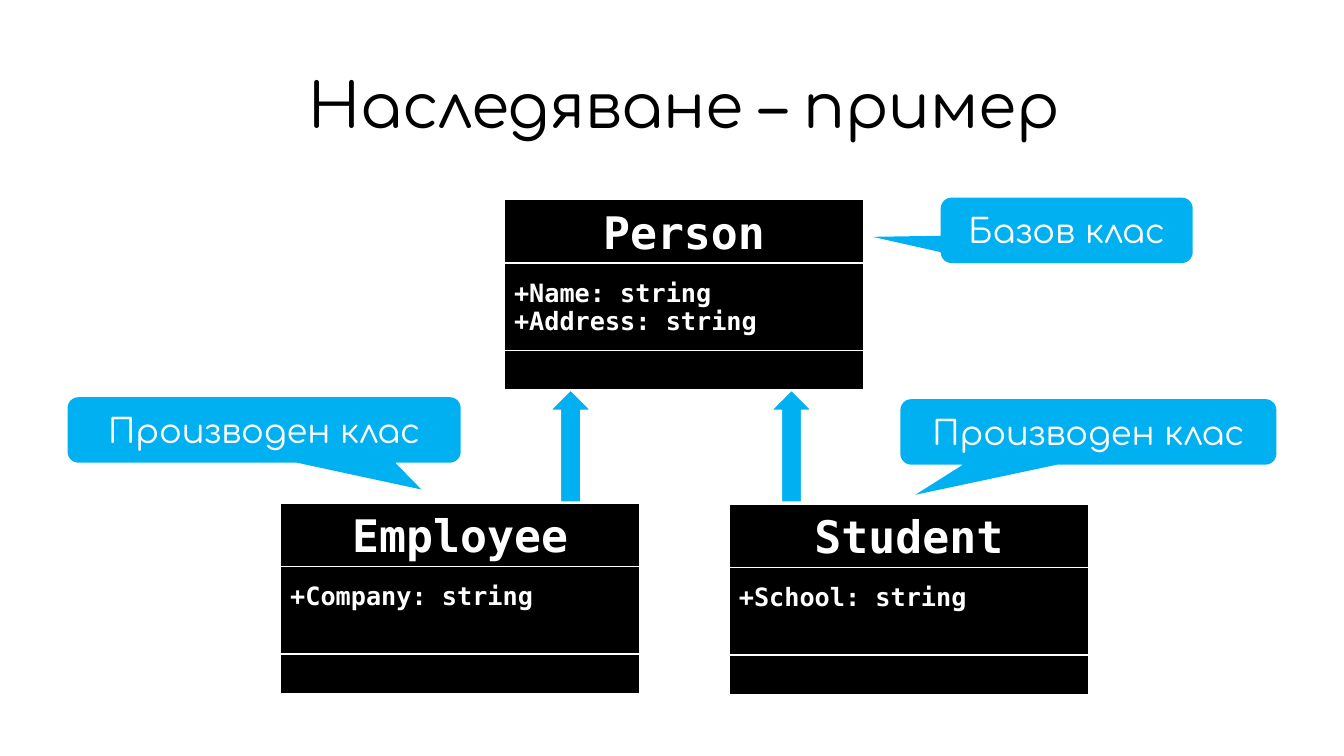
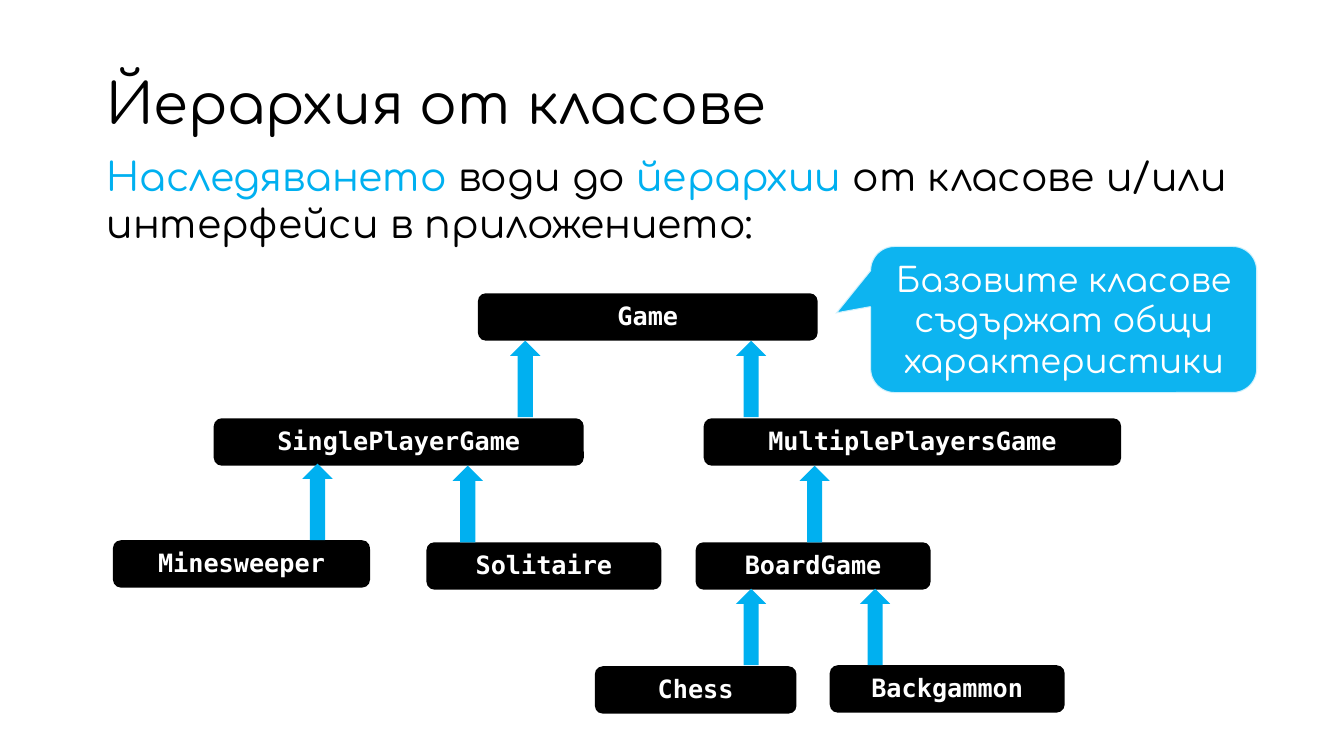
from lxml.etree import SubElement
from pptx import Presentation
from pptx.dml.color import RGBColor
from pptx.enum.shapes import MSO_SHAPE
from pptx.enum.text import MSO_ANCHOR, PP_ALIGN
from pptx.oxml.ns import qn
from pptx.util import Inches, Pt

BLACK = RGBColor(0x00, 0x00, 0x00)
WHITE = RGBColor(0xFF, 0xFF, 0xFF)
BLUE = RGBColor(0x00, 0xB0, 0xF0)
TEXT_FONT = "Comfortaa"
CODE_FONT = "DejaVu Sans Mono"


def add_shape(s, kind, at, fill, line=None):
    """Add a flat shape; line is the width of a white outline in points."""
    sp = s.shapes.add_shape(kind, *map(Inches, at))
    sp.shadow.inherit = False
    sp.fill.solid()
    sp.fill.fore_color.rgb = fill
    if line:
        sp.line.color.rgb = WHITE
        sp.line.width = Pt(line)
    else:
        sp.line.fill.background()
    return sp


def write(sp, text, size, font=TEXT_FONT, color=WHITE, align=PP_ALIGN.CENTER, spacing=None):
    """Fill a shape with text, one paragraph a line; code is bold."""
    tf = sp.text_frame
    tf.word_wrap = True
    tf.vertical_anchor = MSO_ANCHOR.MIDDLE
    tf.text = text
    for p in tf.paragraphs:
        p.alignment = align
        p.line_spacing = spacing
        p.font.name = font
        p.font.size = Pt(size)
        p.font.bold = font == CODE_FONT
        p.font.color.rgb = color
    return tf


prs = Presentation()
prs.slide_width, prs.slide_height = Inches(13.33), Inches(7.5)
blank = prs.slide_layouts[6]

# Slide 1: one base class and two derived classes
s = prs.slides.add_slide(blank)
title = s.shapes.add_textbox(Inches(0.66), Inches(0.48), Inches(12.26), Inches(1.2))
write(title, "Наследяване – пример", 44, color=BLACK, spacing=0.9)

CLASS_W, NAME_H, FIELDS_H, METHODS_H = 3.57, 0.63, 0.87, 0.39
for x, y, name, fields in [
    (5, 1.98, "Person", "+Name: string\n+Address: string"),
    (2.78, 4.99, "Employee", "+Company: string"),
    (7.23, 5, "Student", "+School: string"),
]:
    sp = add_shape(s, MSO_SHAPE.RECTANGLE, (x, y, CLASS_W, NAME_H), BLACK, 1)
    write(sp, name, 32, CODE_FONT)
    y += NAME_H
    sp = add_shape(s, MSO_SHAPE.RECTANGLE, (x, y, CLASS_W, FIELDS_H), BLACK, 1)
    tf = write(sp, fields, 18, CODE_FONT, align=PP_ALIGN.LEFT, spacing=0.95)
    tf.vertical_anchor = MSO_ANCHOR.TOP
    tf.margin_top = Inches(0.16)
    y += FIELDS_H
    add_shape(s, MSO_SHAPE.RECTANGLE, (x, y, CLASS_W, METHODS_H), BLACK, 1)

for x, y, w, text, tip_x, tip_y in [
    (0.67, 3.94, 3.9, "Производен клас", 0.4, 0.91),
    (8.93, 3.96, 3.73, "Производен клас", -0.46, 0.96),
    (9.33, 1.96, 2.5, "Базов клас", -0.77, 0.1),
]:
    callout = add_shape(s, MSO_SHAPE.ROUNDED_RECTANGULAR_CALLOUT, (x, y, w, 0.65), BLUE)
    callout.adjustments[0], callout.adjustments[1] = tip_x, tip_y
    write(callout, text, 24)

for x in (5.46, 7.65):
    add_shape(s, MSO_SHAPE.UP_ARROW, (x, 3.87, 0.4, 1.11), BLUE, 1)

# Slide 2: class hierarchy
s = prs.slides.add_slide(blank)
title = s.shapes.add_textbox(Inches(0.96), Inches(0.54), Inches(11.5), Inches(1.05))
write(title, "Йерархия от класове", 40, color=BLACK, align=PP_ALIGN.LEFT, spacing=Pt(40))

body = s.shapes.add_textbox(Inches(0.96), Inches(1.46), Inches(11.67), Inches(1.13))
tf = body.text_frame
tf.word_wrap = True
p = tf.paragraphs[0]
p.font.name = TEXT_FONT
p.font.size = Pt(28)
for text, color in [
    ("Наследяването ", BLUE),
    ("води до ", BLACK),
    ("йерархии ", BLUE),
    ("от класове и/или интерфейси в приложението:", BLACK),
]:
    r = p.add_run()
    r.text = text
    r.font.color.rgb = color

callout = add_shape(s, MSO_SHAPE.ROUNDED_RECTANGULAR_CALLOUT, (8.63, 2.44, 3.84, 1.46), BLUE, 1.5)
callout.adjustments[0], callout.adjustments[1] = -0.59, -0.04
write(callout, "Базовите класове съдържат общи характеристики", 24)
fill_color, line_color = callout._element.spPr.iter(qn("a:srgbClr"))
SubElement(fill_color, qn("a:alpha"), val="95000")
SubElement(line_color, qn("a:alpha"), val="80000")

for x, y, w, name in [
    (4.74, 2.91, 3.37, "Game"),
    (2.12, 4.15, 3.67, "SinglePlayerGame"),
    (6.98, 4.15, 4.14, "MultiplePlayersGame"),
    (1.12, 5.36, 2.55, "Minesweeper"),
    (4.23, 5.38, 2.33, "Solitaire"),
    (6.9, 5.38, 2.33, "BoardGame"),
    (5.9, 6.61, 2, "Chess"),
    (8.23, 6.6, 2.33, "Backgammon"),
]:
    sp = add_shape(s, MSO_SHAPE.ROUNDED_RECTANGLE, (x, y, w, 0.47), BLACK)
    write(sp, name, 18, CODE_FONT, spacing=0.95)

for x, y in [
    (5.06, 3.38), (7.3, 3.38),
    (3, 4.6), (4.49, 4.62), (7.93, 4.62),
    (7.3, 5.84), (8.53, 5.84),
]:
    add_shape(s, MSO_SHAPE.UP_ARROW, (x, y, 0.3, 0.76), BLUE)

prs.save("out.pptx")
